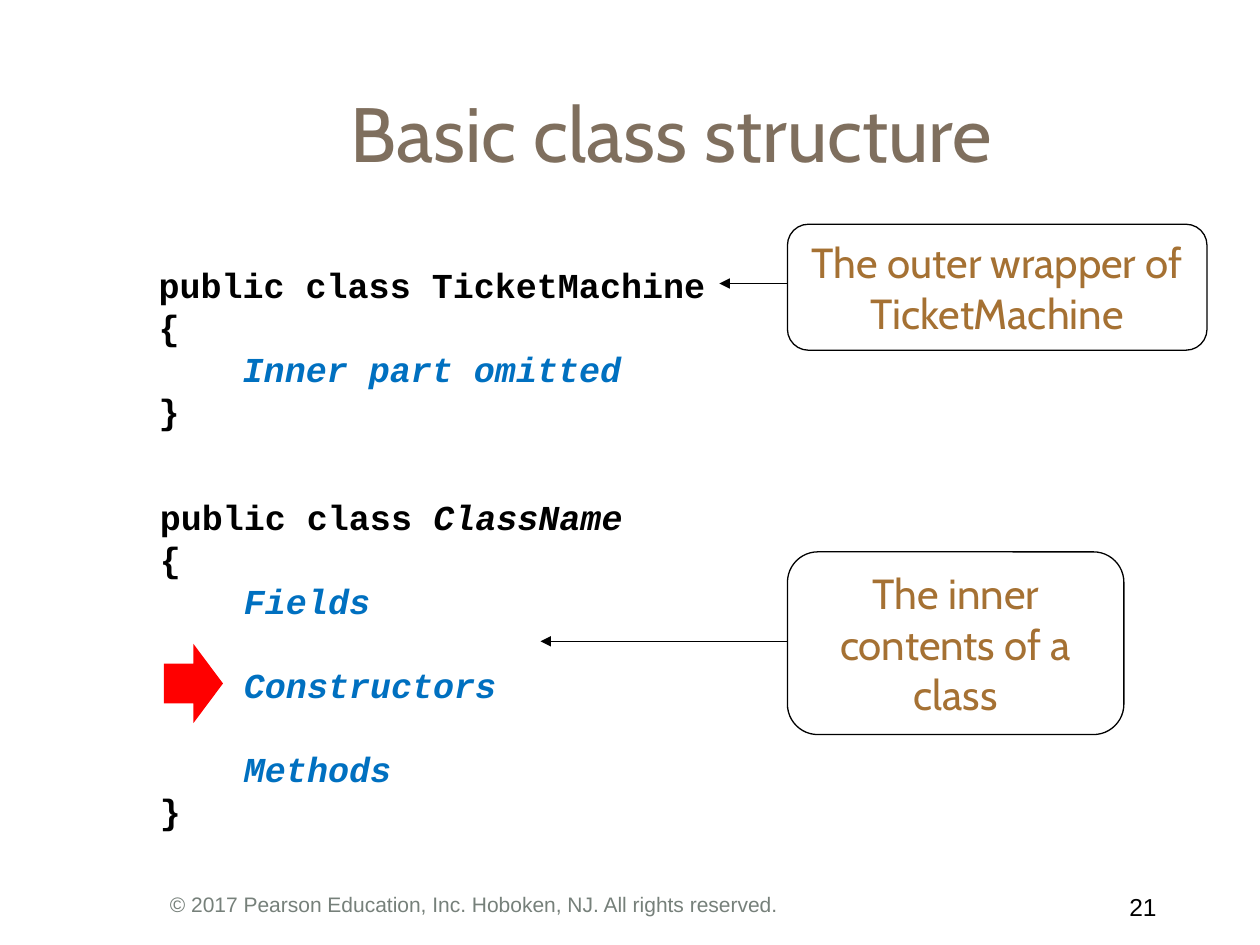
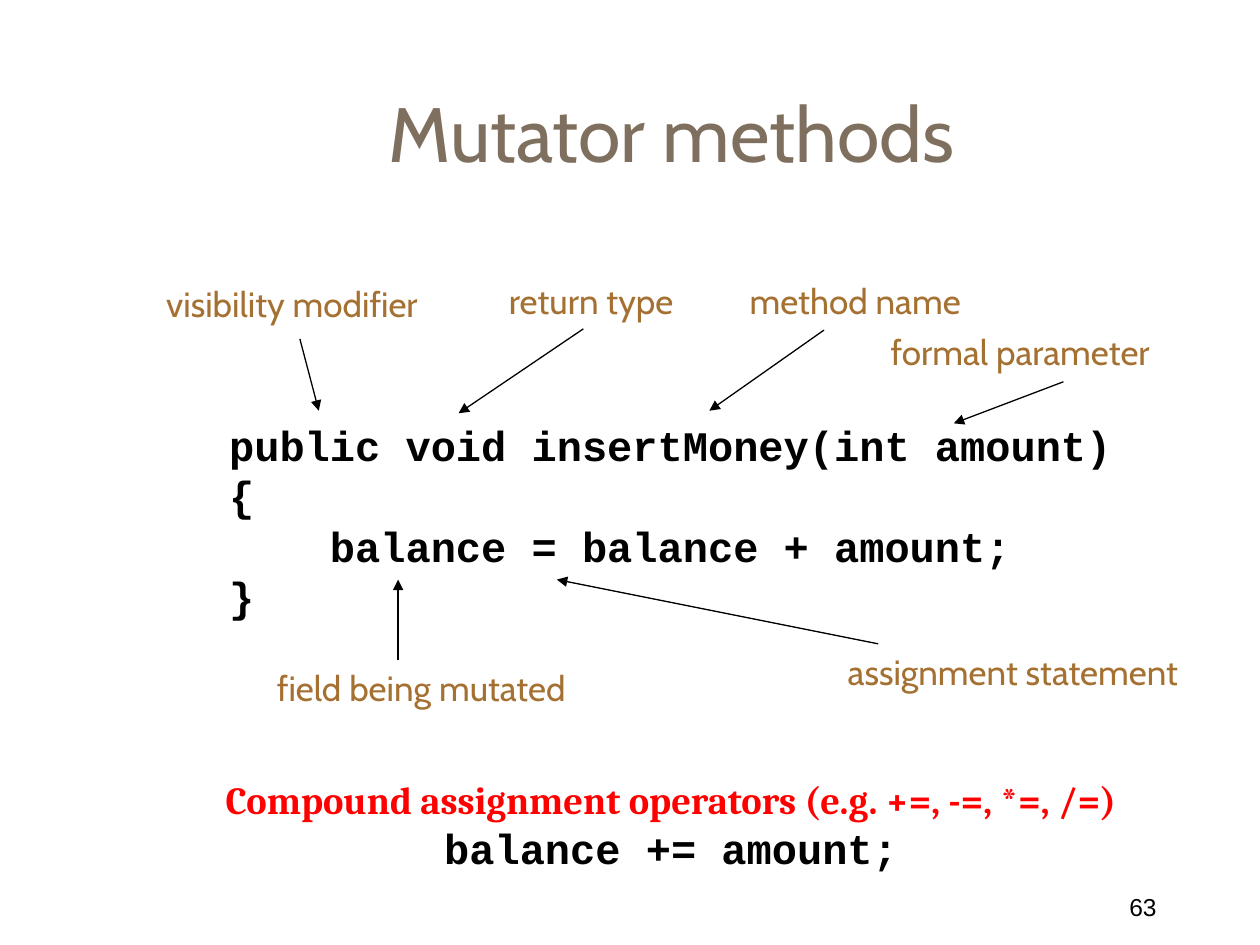
from lxml import etree
from pptx import Presentation
from pptx import util as u
from pptx.dml import color
from pptx.enum import shapes, text
from pptx.oxml import ns

COLORS = {"title": "7F6F5E", "label": "A57133", "code": "000000", "part": "0070C0",
          "alert": "FF0000", "footer": "76807A", "line": "000000", "page": "FFFFFF"}
TITLE_BOX = (1.08, 0.42, 8.5, 1.25)
NUMBER_BOX = (8.75, 7.03, 0.58, 0.33)
FOOTER_BOX = (1.25, 7.03, 7.58, 0.33)
CODE_SPACING = 1.2  # line pitch as a multiple of the font size
PART = {"color": "part", "italic": True}


def rgb(name):
    return color.RGBColor.from_string(COLORS[name])


def inches(values):
    return [u.Inches(value) for value in values]


def write(frame, lines, *, font, size, color, bold=False, align="LEFT", anchor="TOP",
          wrap=True, grow=False, pitch=None):
    """Fill a frame; a line is a list of (text, overrides) spans."""
    frame.word_wrap = wrap
    frame.auto_size = (text.MSO_AUTO_SIZE.SHAPE_TO_FIT_TEXT if grow
                       else text.MSO_AUTO_SIZE.NONE)
    frame.vertical_anchor = text.MSO_ANCHOR[anchor]
    for index, line in enumerate(lines):
        para = frame.paragraphs[0] if index == 0 else frame.add_paragraph()
        para.alignment = text.PP_ALIGN[align]
        if pitch:
            para.line_spacing = u.Pt(pitch)
        for words, changes in line:
            style = {"font": font, "size": size, "color": color, "bold": bold,
                     "italic": False, **changes}
            span = para.add_run()
            span.text = words
            span.font.name = style["font"]
            span.font.size = u.Pt(style["size"])
            span.font.bold = style["bold"]
            span.font.italic = style["italic"]
            span.font.color.rgb = rgb(style["color"])
    return frame


def add_text(page, box, lines, **style):
    return write(page.shapes.add_textbox(*inches(box)).text_frame, lines, **style)


def add_code(page, box, lines, size):
    return add_text(page, box, lines, font="Courier New", size=size, color="code",
                    bold=True, wrap=False, grow=True, pitch=size * CODE_SPACING)


def add_arrow(page, start, end):
    arrow = page.shapes.add_connector(shapes.MSO_CONNECTOR.STRAIGHT,
                                      *inches(start + end))
    arrow.line.color.rgb = rgb("line")
    arrow.line.width = u.Pt(0.75)
    head = etree.SubElement(arrow.line._get_or_add_ln(), ns.qn("a:tailEnd"))
    head.set("type", "triangle")
    etree.SubElement(arrow._element.spPr, ns.qn("a:effectLst"))


def add_callout(page, box, words, arrow_y, arrow_end):
    """Rounded note with an arrow leaving its left edge."""
    add_arrow(page, (box[0], arrow_y), (arrow_end, arrow_y))
    note = page.shapes.add_shape(shapes.MSO_SHAPE.ROUNDED_RECTANGLE, *inches(box))
    note.shadow.inherit = False
    note.fill.background()
    note.line.color.rgb = rgb("line")
    note.line.width = u.Pt(0.75)
    write(note.text_frame, [[(words, {})]], font="Cabin", size=24, color="label",
          align="CENTER", anchor="MIDDLE", grow=True)


def add_page(deck, title, number):
    """Title-only page with its title and page number."""
    page = deck.slides.add_slide(deck.slide_layouts[5])
    page.background.fill.solid()
    page.background.fill.fore_color.rgb = rgb("page")
    heading = page.shapes.title
    heading.left, heading.top, heading.width, heading.height = inches(TITLE_BOX)
    write(heading.text_frame, [[(title, {})]], font="Cabin", size=44, color="title",
          align="CENTER", anchor="MIDDLE")
    frame = add_text(page, NUMBER_BOX, [[(str(number), {})]], font="Arial", size=14,
                     color="code", align="RIGHT")
    frame.margin_right = u.Inches(0.15)
    return page


def add_class_structure(deck):
    page = add_page(deck, "Basic class structure", 21)
    add_text(page, FOOTER_BOX,
             [[("© 2017 Pearson Education, Inc. Hoboken, NJ. All rights reserved.", {})]],
             font="Arial", size=12, color="footer")

    # Outer wrapper
    add_code(page, (1.16, 2.04, 4.58, 1.45),
             [[("public class TicketMachine", {})], [("{", {})],
              [("    ", {}), ("Inner part omitted", PART)], [("}", {})]], 20)
    add_callout(page, (6.25, 1.78, 3.33, 1), "The outer wrapper of TicketMachine",
                2.25, 5.71)

    # Inner contents
    parts = [[("    ", {}), (part, PART)] for part in ("Fields", "Constructors", "Methods")]
    frame = add_code(page, (1.17, 3.88, 3.9, 2.79),
                     [[("public class ", {}), ("ClassName", {"italic": True})],
                      [("{", {})], *parts, [("}", {})]], 20)
    for para in frame.paragraphs[3:5]:
        para.space_before = u.Pt(20 * CODE_SPACING)
    add_callout(page, (6.25, 4.38, 2.67, 1.45), "The inner contents of a class",
                5.09, 4.29)

    # Pointer to the constructors
    pointer = page.shapes.add_shape(shapes.MSO_SHAPE.RIGHT_ARROW,
                                    *inches((1.3, 5.11, 0.47, 0.63)))
    pointer.shadow.inherit = False
    pointer.fill.solid()
    pointer.fill.fore_color.rgb = rgb("alert")
    pointer.line.fill.background()


def add_mutator_methods(deck):
    page = add_page(deck, "Mutator methods", 63)
    add_code(page, (1.72, 3.28, 7.2, 1.7),
             [[(line, {})] for line in ("public void insertMoney(int amount)", "{",
                                        "    balance = balance + amount;", "}")], 24)

    # Labels: words, left, top, width, arrow start, arrow end
    labels = [
        ("return type", 3.94, 2.17, 1.62, (4.63, 2.61), (3.64, 3.28)),
        ("method name", 5.85, 2.17, 1.91, (6.54, 2.62), (5.63, 3.26)),
        ("formal parameter", 6.97, 2.57, 2.43, (8.44, 3.03), (7.57, 3.36)),
        ("visibility modifier", 1.22, 2.19, 2.39, (2.38, 2.69), (2.53, 3.26)),
        ("assignment statement", 6.63, 5.11, 2.94, (6.97, 5.11), (4.42, 4.6)),
        ("field being mutated", 2.1, 5.24, 2.67, (3.16, 5.24), (3.16, 4.6)),
    ]
    for words, left, top, width, start, end in labels:
        add_text(page, (left, top, width, 0.43), [[(words, {})]], font="Cabin", size=20,
                 color="label", wrap=False, grow=True)
        add_arrow(page, start, end)

    # Compound assignment
    add_text(page, (1.25, 6.11, 8.15, 0.88),
             [[("Compound assignment operators (e.g. +=, -=, *=, /=)",
                {"font": "Cambria", "size": 22, "color": "alert"})],
              [("balance += amount;", {})]],
             font="Courier New", size=24, color="code", bold=True, align="CENTER",
             grow=True)


def main():
    deck = Presentation()
    deck.slide_width, deck.slide_height = inches((10, 7.5))
    add_class_structure(deck)
    add_mutator_methods(deck)
    deck.save("out.pptx")


if __name__ == "__main__":
    main()
